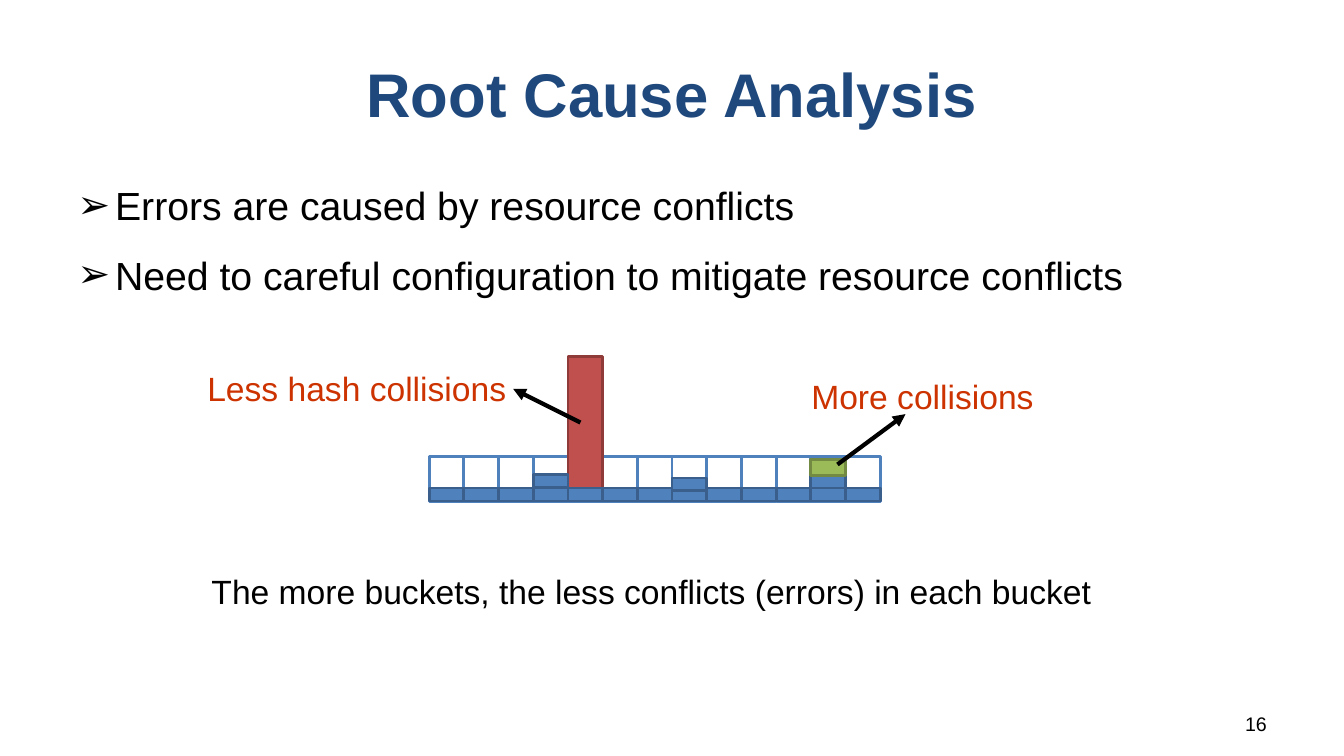
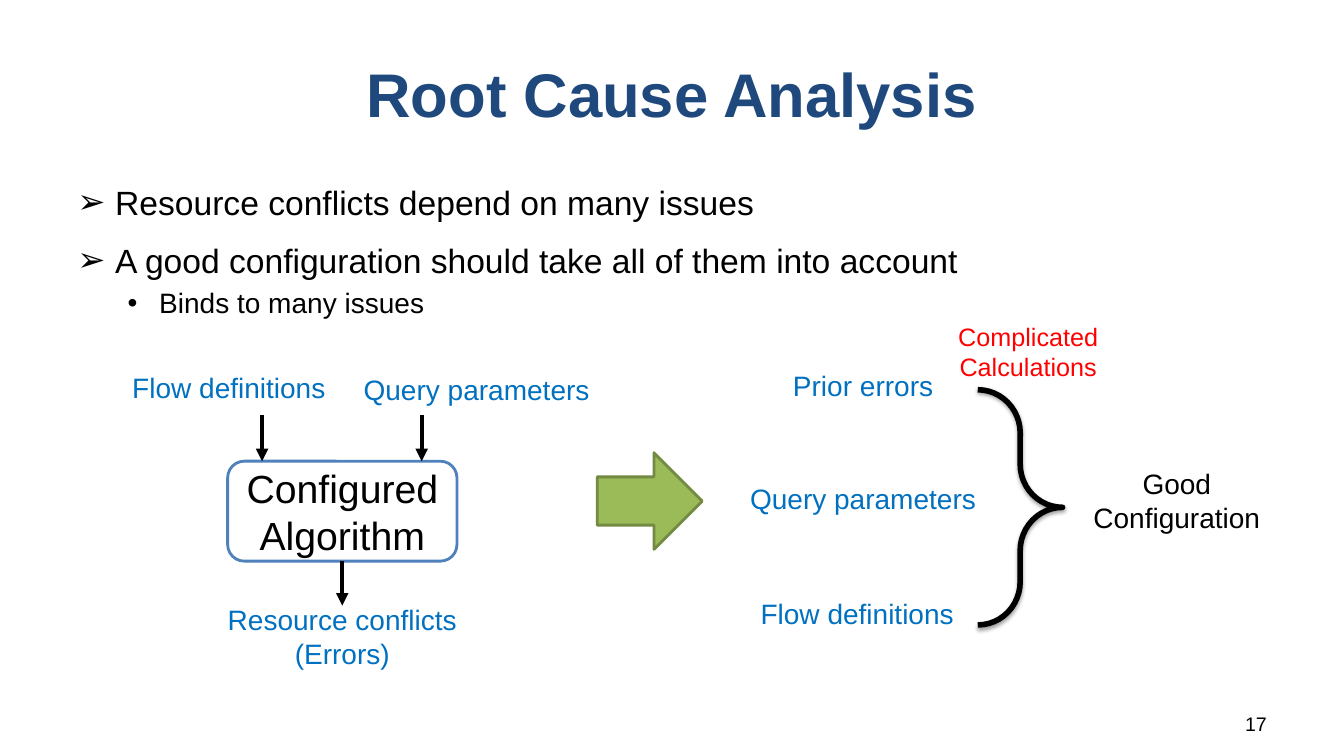
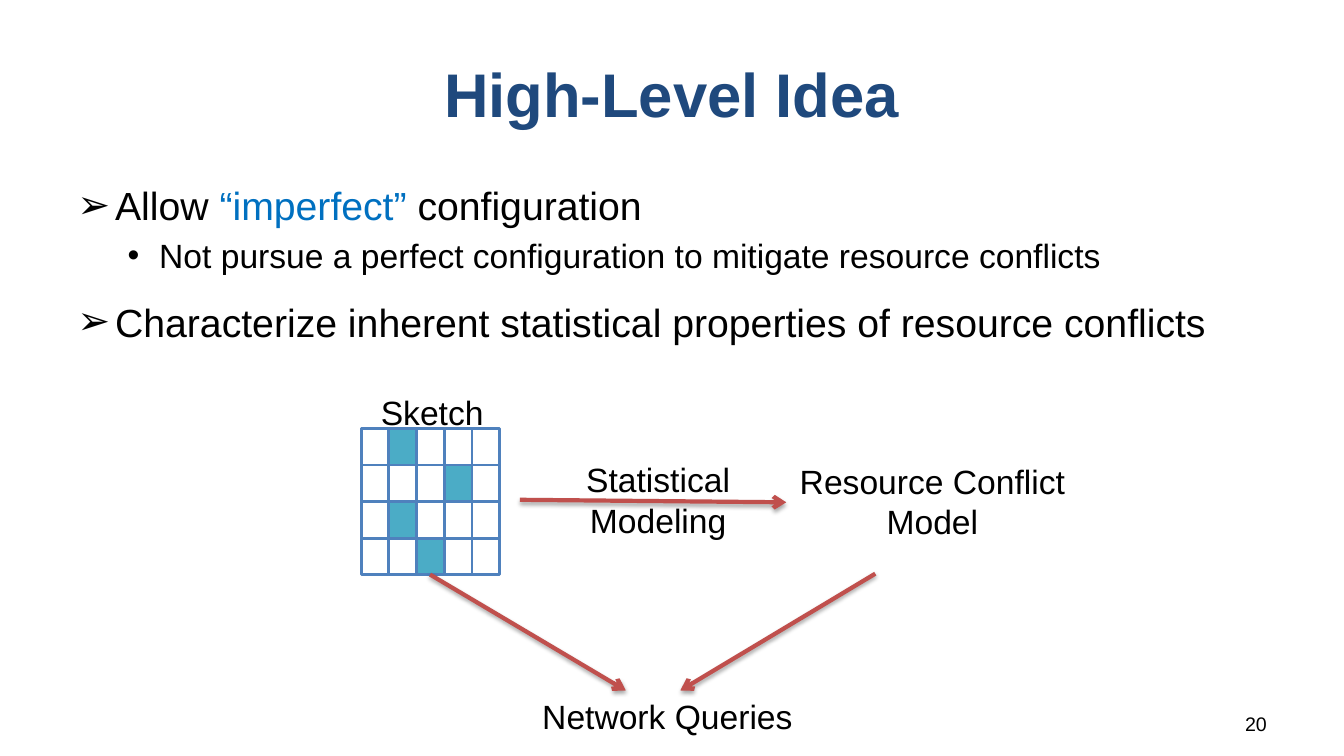
from dataclasses import dataclass
from itertools import product

from lxml.etree import SubElement
from pptx import Presentation
from pptx.dml.color import RGBColor
from pptx.enum.shapes import MSO_CONNECTOR, MSO_SHAPE
from pptx.enum.text import MSO_ANCHOR, MSO_AUTO_SIZE, PP_ALIGN
from pptx.oxml.ns import qn
from pptx.util import Emu, Inches, Pt


@dataclass(frozen=True)
class Theme:
    """Colours, type sizes and grid of the deck."""
    font: str = "Arial"
    black: str = "000000"
    white: str = "FFFFFF"
    navy: str = "1F497D"
    blue: str = "4F81BD"
    blue_edge: str = "3A5F8C"
    red: str = "C0504D"
    red_edge: str = "8E3B39"
    green: str = "9BBB59"
    green_edge: str = "738A42"
    teal: str = "4BACC6"
    accent: str = "0070C0"
    warning: str = "FF0000"
    callout: str = "CC3300"
    title: int = 44
    large: int = 28
    medium: int = 24
    small: int = 20
    caption: int = 18
    page: int = 14
    columns: int = 160
    rows: int = 90
    bullets: tuple = ("➢", "•")


class Deck:
    """Presentation with a shared style and a current slide."""

    def __init__(self, theme):
        self.theme = theme
        self.presentation = Presentation()
        self.presentation.slide_width = Inches(13.33)
        self.presentation.slide_height = Inches(7.5)
        self.slide = None

    def at(self, column, row):
        """Turn a grid position into lengths."""
        return (Emu(round(self.presentation.slide_width * column / self.theme.columns)),
                Emu(round(self.presentation.slide_height * row / self.theme.rows)))

    def place(self, holder, column, row, width, height):
        """Move a placeholder to a grid area."""
        holder.left, holder.top = self.at(column, row)
        holder.width, holder.height = self.at(width, height)

    def style(self, run, size, color, bold=False):
        """Format one run."""
        run.font.name = self.theme.font
        run.font.size = Pt(size)
        run.font.bold = bold
        run.font.color.rgb = RGBColor.from_string(color)

    def typeset(self, frame, text, size, color, align, bold=False):
        """Set the text of a frame and format it."""
        frame.text = text
        frame.word_wrap = True
        frame.vertical_anchor = MSO_ANCHOR.MIDDLE
        for paragraph in frame.paragraphs:
            paragraph.alignment = align
            for run in paragraph.runs:
                self.style(run, size, color, bold)

    def start(self, title, number, points):
        """Add a slide with its title, bullet list and page number."""
        theme = self.theme
        self.slide = self.presentation.slides.add_slide(self.presentation.slide_layouts[1])
        heading, body = self.slide.placeholders
        self.place(heading, 8, 3.6, 144, 15)
        self.typeset(heading.text_frame, title, theme.title, theme.navy, PP_ALIGN.CENTER, True)
        self.place(body, 8, 21, 147, 60)
        body.text_frame.auto_size = MSO_AUTO_SIZE.NONE
        for index, point in enumerate(points):
            frame = body.text_frame
            self.point(frame.add_paragraph() if index else frame.paragraphs[0], *point)
        self.label(str(number), 114.7, 84, 37.3, 4.2, theme.page, align=PP_ALIGN.RIGHT)

    def point(self, paragraph, level, size, *parts):
        """Fill one bullet whose every second part is accented."""
        paragraph.level = level
        if level == 0:
            paragraph.space_before = Pt(round(size * 0.56))
        properties = paragraph._p.get_or_add_pPr()
        SubElement(properties, qn("a:buFont"), typeface=self.theme.font)
        SubElement(properties, qn("a:buChar"), char=self.theme.bullets[level])
        for index, part in enumerate(parts):
            run = paragraph.add_run()
            run.text = part
            self.style(run, size, self.theme.accent if index % 2 else self.theme.black)

    def label(self, text, column, row, width, height, size, color=None, align=PP_ALIGN.CENTER):
        """Add free text."""
        box = self.slide.shapes.add_textbox(*self.at(column, row), *self.at(width, height))
        self.typeset(box.text_frame, text, size, color or self.theme.black, align)

    def figure(self, kind, column, row, width, height, fill, edge, weight=2):
        """Add a preset shape."""
        shape = self.slide.shapes.add_shape(
            kind, *self.at(column, row), *self.at(width, height))
        shape.shadow.inherit = False
        if fill:
            shape.fill.solid()
            shape.fill.fore_color.rgb = RGBColor.from_string(fill)
        else:
            shape.fill.background()
        shape.line.color.rgb = RGBColor.from_string(edge)
        shape.line.width = Pt(weight)
        return shape

    def cell(self, column, row, width, height, fill, edge):
        """Add a rectangular cell."""
        self.figure(MSO_SHAPE.RECTANGLE, column, row, width, height, fill, edge)

    def arrow(self, start, end, color=None, head="triangle", shaded=False):
        """Add a straight arrow."""
        link = self.slide.shapes.add_connector(
            MSO_CONNECTOR.STRAIGHT, *self.at(*start), *self.at(*end))
        link.line.color.rgb = RGBColor.from_string(color or self.theme.black)
        link.line.width = Pt(3)
        properties = link.element.spPr
        SubElement(properties.find(qn("a:ln")), qn("a:tailEnd"), type=head)
        SubElement(properties, qn("a:effectLst"))
        if shaded:
            self.shade(link, 35, 1.8)

    def shade(self, item, opacity, distance):
        """Drop a soft shadow below an item."""
        effects = item.element.spPr.find(qn("a:effectLst"))
        shadow = SubElement(effects, qn("a:outerShdw"), blurRad=str(int(Pt(3.1))),
                            dist=str(int(Pt(distance))), dir="5400000", rotWithShape="0")
        tone = SubElement(shadow, qn("a:srgbClr"), val=self.theme.black)
        SubElement(tone, qn("a:alpha"), val=str(opacity * 1000))


def collisions(deck):
    """Build the slide on hash collisions in buckets."""
    theme = deck.theme
    deck.start("Root Cause Analysis", 16, [
        (0, theme.large, "Errors are caused by resource conflicts"),
        (0, theme.large, "Need to careful configuration to mitigate resource conflicts")])
    left, pitch = 51.1, 4.13
    empty = [(bucket, 54.3, 5.4, theme.white, theme.blue) for bucket in range(13)]
    base = [(bucket, 58.1, 1.55, theme.blue, theme.blue_edge) for bucket in range(13)]
    second = [(bucket, row, 1.5, theme.blue, theme.blue_edge)
              for bucket, row in ((3, 56.5), (7, 56.9), (11, 56.6))]
    peaks = [(4, 42.4, 15.8, theme.red, theme.red_edge),
             (11, 54.7, 1.9, theme.green, theme.green_edge)]
    for bucket, row, height, fill, edge in empty + peaks[:1] + base + second + peaks[1:]:
        deck.cell(left + bucket * pitch, row, pitch, height, fill, edge)
    for text, column, row, width in (("Less hash collisions", 23.5, 43.2, 39.8),
                                     ("More collisions", 95.4, 44.2, 30.2)):
        deck.label(text, column, row, width, 6, theme.medium, theme.callout, PP_ALIGN.LEFT)
    deck.arrow((69.1, 50.3), (61.1, 46.3))
    deck.arrow((99.7, 55.3), (107.8, 49.3))
    deck.label("The more buckets, the less conflicts (errors) in each bucket",
               24, 67.4, 108, 6, theme.medium, align=PP_ALIGN.LEFT)


def configuration(deck):
    """Build the slide on what a good configuration needs."""
    theme = deck.theme
    deck.start("Root Cause Analysis", 17, [
        (0, theme.medium, "Resource conflicts depend on many issues"),
        (0, theme.medium, "A good configuration should take all of them into account"),
        (1, theme.small, "Binds to many issues")])
    algorithm = deck.figure(MSO_SHAPE.ROUNDED_RECTANGLE, 27.1, 54.9, 27.3, 11.9,
                            theme.white, theme.blue)
    deck.typeset(algorithm.text_frame, "Configured\nAlgorithm", theme.large, theme.black,
                 PP_ALIGN.CENTER)
    for text, column, row, height in (("Flow definitions", 12.3, 43.3, 5.5),
                                      ("Query parameters", 41.8, 43.8, 5.1),
                                      ("Resource conflicts\n(Errors)", 25.8, 71.3, 8.9),
                                      ("Prior errors", 87.8, 43.3, 5.1),
                                      ("Query parameters", 87.8, 56.8, 5.1),
                                      ("Flow definitions", 87.1, 70.3, 5.5)):
        deck.label(text, column, row, 29.9, height, theme.small, theme.accent)
    deck.arrow((31.2, 49.4), (31.2, 54.9))
    deck.arrow((50.2, 49.4), (50.2, 54.9))
    deck.arrow((40.75, 66.8), (40.75, 72.1))
    deck.figure(MSO_SHAPE.RIGHT_ARROW, 71.1, 53.9, 12.5, 11.5, theme.green, theme.green_edge)
    brace = deck.figure(MSO_SHAPE.RIGHT_BRACE, 116.4, 46.4, 10.1, 28, None, theme.black, 4)
    brace.adjustments[0] = 0.51
    deck.shade(brace, 38, 1.6)
    deck.label("Good Configuration", 126.5, 56.8, 27.2, 5.5, theme.small)
    deck.label("Complicated\nCalculations", 112.8, 37.6, 19.2, 8.5, theme.caption, theme.warning)


def idea(deck):
    """Build the slide on the statistical model of a sketch."""
    theme = deck.theme
    deck.start("High-Level Idea", 20, [
        (0, theme.large, "Allow ", "“imperfect”", " configuration"),
        (1, theme.medium, "Not pursue a perfect configuration to mitigate resource conflicts"),
        (0, theme.large, "Characterize inherent statistical properties of resource conflicts")])
    occupied = {(0, 1), (1, 3), (2, 1), (3, 2)}
    width, height = 3.3, 4.36
    for row, column in product(range(4), range(5)):
        deck.cell(43 + column * width, 51 + row * height, width, height,
                  theme.teal if (row, column) in occupied else theme.white, theme.blue)
    for text, *area in (("Sketch", 43.3, 46, 16.3, 6),
                        ("Resource Conflict\nModel", 93.6, 54.2, 34.8, 10.9),
                        ("Statistical\nModeling", 65.2, 54, 26.3, 10.9),
                        ("Network Queries", 60.8, 82.2, 37.3, 6)):
        deck.label(text, *area, theme.medium)
    for start, end in (((61.9, 59.5), (93.6, 59.8)),
                       ((51.2, 68.4), (74.5, 82.2)),
                       ((104.2, 68.3), (81, 82.2))):
        deck.arrow(start, end, theme.red, "arrow", True)


def main():
    """Build and save the deck."""
    deck = Deck(Theme())
    for build in (collisions, configuration, idea):
        build(deck)
    deck.presentation.save("out.pptx")


if __name__ == "__main__":
    main()
